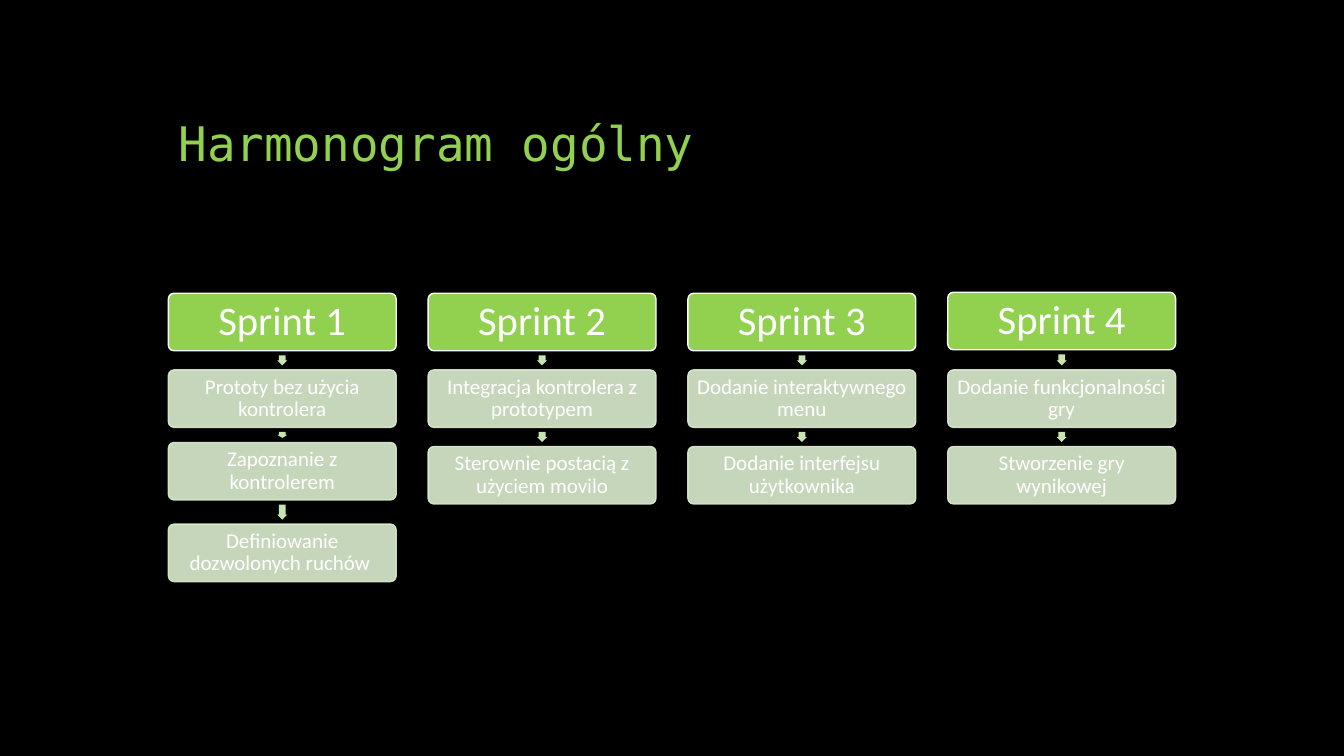
"""Build the general schedule slide with four sprint columns."""
from dataclasses import dataclass
from itertools import pairwise

from lxml.etree import SubElement
from pptx import Presentation
from pptx.dml.color import RGBColor
from pptx.enum.shapes import MSO_SHAPE as Preset
from pptx.enum.text import MSO_ANCHOR as Anchor, MSO_AUTO_SIZE as AutoSize, PP_ALIGN as Align
from pptx.oxml.ns import qn
from pptx.shapes.autoshape import Shape
from pptx.slide import Slide
from pptx.util import Inches, Pt


@dataclass(frozen=True)
class Theme:
    background: RGBColor = RGBColor.from_string("000000")
    accent: RGBColor = RGBColor.from_string("92D050")
    step: RGBColor = RGBColor.from_string("DCEED0")
    arrow: RGBColor = RGBColor.from_string("C7E4B3")
    light: RGBColor = RGBColor.from_string("FFFFFF")
    title_font: str = "DejaVu Sans Mono"
    box_font: str = "Calibri"
    title_size: int = 34
    sprint_size: int = 29
    step_size: int = 15
    step_opacity: int = 90
    line_spacing: float = 0.9


@dataclass(frozen=True)
class BoxStyle:
    fill: RGBColor
    line: RGBColor
    size: int
    inset: float
    opacity: int = 100


@dataclass(frozen=True)
class Sprint:
    name: str
    steps: tuple[str, ...]
    tops: tuple[float, ...] = (2.91, 3.67, 4.43)


THEME = Theme()
SPRINT_STYLE = BoxStyle(THEME.accent, THEME.light, THEME.sprint_size, 0.04)
STEP_STYLE = BoxStyle(THEME.step, THEME.step, THEME.step_size, 0.02, THEME.step_opacity)

SPRINTS = (
    Sprint(
        "Sprint 1",
        ("Prototy bez użycia kontrolera", "Zapoznanie z kontrolerem", "Definiowanie dozwolonych ruchów "),
        (2.91, 3.67, 4.39, 5.2),
    ),
    Sprint("Sprint 2", ("Integracja kontrolera z prototypem", "Sterownie postacią z użyciem movilo")),
    Sprint("Sprint 3", ("Dodanie interaktywnego menu", "Dodanie interfejsu użytkownika")),
    Sprint("Sprint 4", ("Dodanie funkcjonalności gry", "Stworzenie gry wynikowej"), (2.9, 3.67, 4.43)),
)

FIRST_LEFT, LAST_LEFT = 1.67, 9.4
PITCH = (LAST_LEFT - FIRST_LEFT) / (len(SPRINTS) - 1)
BOX_WIDTH, BOX_HEIGHT = 2.26, 0.57
ARROW_WIDTH, ARROW_MARGIN = 0.1, 0.09


def set_opacity(shape: Shape, percent: int) -> None:
    for color in shape._element.spPr.iter(qn("a:srgbClr")):
        SubElement(color, qn("a:alpha")).set("val", str(percent * 1000))


def add_title(slide: Slide, wording: str) -> None:
    title = slide.shapes.title
    title.left, title.top, title.width, title.height = map(Inches, (1.67, 0.5, 10, 1.25))
    frame = title.text_frame
    frame.text = wording
    frame.vertical_anchor = Anchor.BOTTOM
    frame.auto_size = AutoSize.NONE
    heading = frame.paragraphs[0]
    heading.alignment = Align.LEFT
    heading.line_spacing = THEME.line_spacing
    heading.font.name = THEME.title_font
    heading.font.size = Pt(THEME.title_size)
    heading.font.color.rgb = THEME.accent


def add_box(slide: Slide, left: float, top: float, wording: str, style: BoxStyle) -> None:
    box = slide.shapes.add_shape(
        Preset.ROUNDED_RECTANGLE, Inches(left), Inches(top), Inches(BOX_WIDTH), Inches(BOX_HEIGHT)
    )
    box.adjustments[0] = 0.1
    box.shadow.inherit = False
    box.fill.solid()
    box.fill.fore_color.rgb = style.fill
    box.line.color.rgb = style.line
    box.line.width = Pt(1)
    if style.opacity < 100:
        set_opacity(box, style.opacity)
    frame = box.text_frame
    frame.word_wrap = True
    frame.vertical_anchor = Anchor.MIDDLE
    frame.margin_left = frame.margin_right = Inches(style.inset)
    frame.margin_top = frame.margin_bottom = Inches(style.inset)
    frame.text = wording
    label = frame.paragraphs[0]
    label.alignment = Align.CENTER
    label.line_spacing = THEME.line_spacing
    label.font.name = THEME.box_font
    label.font.size = Pt(style.size)
    label.font.color.rgb = THEME.light


def add_arrow(slide: Slide, center: float, start: float, end: float) -> None:
    length = end - start - ARROW_MARGIN
    arrow = slide.shapes.add_shape(
        Preset.RIGHT_ARROW,
        Inches(center - length / 2),
        Inches((start + end - ARROW_WIDTH) / 2),
        Inches(length),
        Inches(ARROW_WIDTH),
    )
    arrow.rotation = 90
    arrow.adjustments[0] = 0.67
    arrow.adjustments[1] = 0.5
    arrow.shadow.inherit = False
    arrow.fill.solid()
    arrow.fill.fore_color.rgb = THEME.arrow
    arrow.line.fill.background()


def add_sprint(slide: Slide, left: float, sprint: Sprint) -> None:
    add_box(slide, left, sprint.tops[0], sprint.name, SPRINT_STYLE)
    for step, (above, top) in zip(sprint.steps, pairwise(sprint.tops)):
        add_arrow(slide, left + BOX_WIDTH / 2, above + BOX_HEIGHT, top)
        add_box(slide, left, top, step, STEP_STYLE)


def main() -> None:
    deck = Presentation()
    deck.slide_width, deck.slide_height = Inches(13.33), Inches(7.5)
    slide = deck.slides.add_slide(deck.slide_layouts.get_by_name("Title Only"))
    slide.background.fill.solid()
    slide.background.fill.fore_color.rgb = THEME.background
    add_title(slide, "Harmonogram ogólny")
    for column, sprint in enumerate(SPRINTS):
        add_sprint(slide, FIRST_LEFT + column * PITCH, sprint)
    deck.save("out.pptx")


if __name__ == "__main__":
    main()
